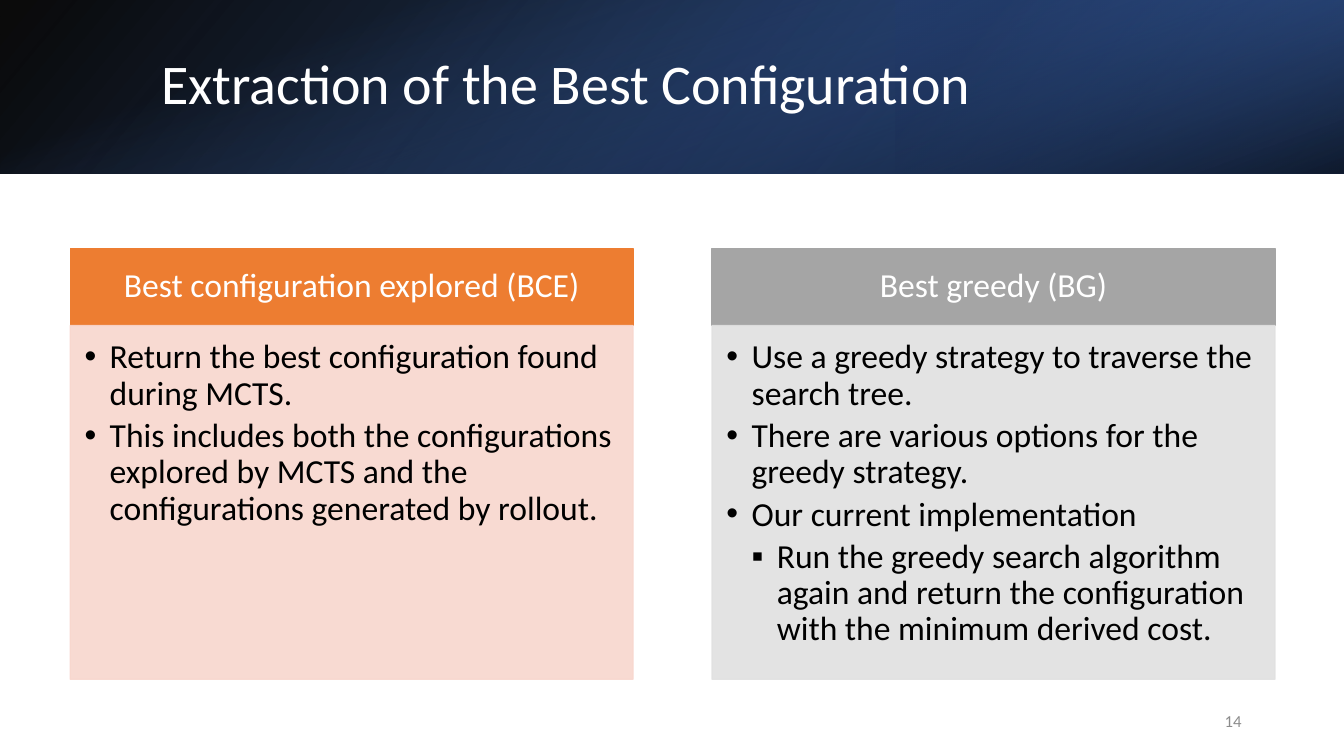
import pptx
import pptx.util
import pptx.dml.color
import pptx.enum.shapes
import pptx.enum.text
import pptx.oxml
import pptx.oxml.ns
import lxml.etree

Pt = pptx.util.Pt
RECT = pptx.enum.shapes.MSO_SHAPE.RECTANGLE
ALIGN = pptx.enum.text.PP_ALIGN
ANCHOR = pptx.enum.text.MSO_ANCHOR
qn = pptx.oxml.ns.qn

# Content
TITLE = "Extraction of the Best Configuration"
PAGE = "14"
# Each card: heading, colour names, bullets as (level, text)
CARDS = [
    ("Best configuration explored (BCE)", "orange", "peach", [
        (1, "Return the best configuration found during MCTS."),
        (1, "This includes both the configurations explored by MCTS "
            "and the configurations generated by rollout."),
    ]),
    ("Best greedy (BG)", "gray", "pale", [
        (1, "Use a greedy strategy to traverse the search tree."),
        (1, "There are various options for the greedy strategy."),
        (1, "Our current implementation"),
        (2, "Run the greedy search algorithm again and return the "
            "configuration with the minimum derived cost."),
    ]),
]
COLORS = {
    "white": "FFFFFF", "black": "000000", "orange": "ED7D31", "peach": "F8D7CE",
    "gray": "A5A5A5", "pale": "E1E1E1", "page": "8C8C8C",
    "navy": "203864", "blue": "2F5597", "sky": "4472C4",
}
MARKS = {1: "•", 2: "▪"}

# Layout in points
WIDE, HIGH = 960, 540
BAND = 124
LEFT, TOP, STEP = 50.2, 177.6, 458.5
CARD, HEAD, BODY = 402, 55, 252.6
INDENT = 18
# Each layer: box, turn, flip, angle, stops as (place, colour, opacity)
LAYERS = [
    ((0, 0, WIDE, BAND), 0, True, 140,
     [(0, "black", 96), (100, "blue", 100)]),
    ((WIDE * 2 / 3, 0, WIDE / 3, BAND), 180, True, 320,
     [(19, "navy", 68), (100, "sky", 79)]),
    (((WIDE - BAND) / 2, (BAND - WIDE) / 2, BAND, WIDE), 90, False, 340,
     [(23, "sky", 0), (99, "black", 74)]),
]


def tint(name):
    return pptx.dml.color.RGBColor.from_string(COLORS[name])


def block(slide, box):
    shape = slide.shapes.add_shape(RECT, *map(Pt, box))
    shape.shadow.inherit = False
    return shape


def paint(shape, name, alpha=100):
    shape.fill.solid()
    shape.fill.fore_color.rgb = tint(name)
    shape.line.color.rgb = tint(name)
    shape.line.width = Pt(1)
    if alpha < 100:
        for color in shape.element.spPr.iter(qn("a:srgbClr")):
            lxml.etree.SubElement(color, qn("a:alpha")).set("val", str(alpha * 1000))


def blend(shape, angle, stops):
    parts = "".join(
        f'<a:gs pos="{place * 1000}"><a:srgbClr val="{COLORS[name]}">'
        f'<a:alpha val="{alpha * 1000}"/></a:srgbClr></a:gs>'
        for place, name, alpha in stops)
    grad = pptx.oxml.parse_xml(
        f'<a:gradFill {pptx.oxml.ns.nsdecls("a")} rotWithShape="1">'
        f'<a:gsLst>{parts}</a:gsLst><a:lin ang="{angle * 60000}" scaled="0"/></a:gradFill>')
    shape.element.spPr.find(qn("a:prstGeom")).addnext(grad)
    shape.line.fill.background()


def setup(shape, anchor, pads):
    frame = shape.text_frame
    frame.word_wrap = True
    frame.vertical_anchor = anchor
    (frame.margin_left, frame.margin_top,
     frame.margin_right, frame.margin_bottom) = map(Pt, pads)
    return frame


def write(para, text, size, name, align, space=0.9):
    para.text = text
    para.alignment = align
    para.line_spacing = space
    font = para.runs[0].font
    font.name, font.size = "Calibri", Pt(size)
    font.color.rgb = tint(name)


def label(slide, box, *style):
    shape = slide.shapes.add_textbox(*map(Pt, box))
    frame = setup(shape, ANCHOR.MIDDLE, (7.2, 3.6, 7.2, 3.6))
    write(frame.paragraphs[0], *style)


def mark(para, level):
    para.level = level - 1
    para.space_after = Pt(4.3)
    props = para._p.get_or_add_pPr()
    props.set("marL", str(Pt(INDENT * level)))
    props.set("indent", str(-Pt(INDENT)))
    lxml.etree.SubElement(props, qn("a:buFont")).set("typeface", "Arial")
    lxml.etree.SubElement(props, qn("a:buChar")).set("char", MARKS[level])


def main():
    deck = pptx.Presentation()
    deck.slide_width, deck.slide_height = Pt(WIDE), Pt(HIGH)
    slide = deck.slides.add_slide(deck.slide_layouts[6])

    # Title band
    for box, turn, flip, angle, stops in LAYERS:
        layer = block(slide, box)
        layer.rotation = turn
        if flip:
            layer.element.spPr.find(qn("a:xfrm")).set("flipH", "1")
        blend(layer, angle, stops)
    label(slide, (108, 27.4, 790.6, 69), TITLE, 40, "white", ALIGN.LEFT)

    # Cards
    for i, (title, dark, light, items) in enumerate(CARDS):
        left = LEFT + i * STEP
        head = block(slide, (left, TOP, CARD, HEAD))
        paint(head, dark)
        frame = setup(head, ANCHOR.MIDDLE, (13.7, 7.8, 13.7, 7.8))
        write(frame.paragraphs[0], title, 24, "white", ALIGN.CENTER)

        body = block(slide, (left, TOP + HEAD, CARD, BODY))
        paint(body, light, 90)
        frame = setup(body, ANCHOR.TOP, (10.2, 10.2, 13.7, 15.4))
        for j, (level, text) in enumerate(items):
            para = frame.add_paragraph() if j else frame.paragraphs[0]
            write(para, text, 24, "black", ALIGN.LEFT)
            mark(para, level)

    # Page number
    label(slide, (678, 500.5, 216, 28.8), PAGE, 12, "page", ALIGN.RIGHT, 1.0)
    deck.save("out.pptx")


if __name__ == "__main__":
    main()
